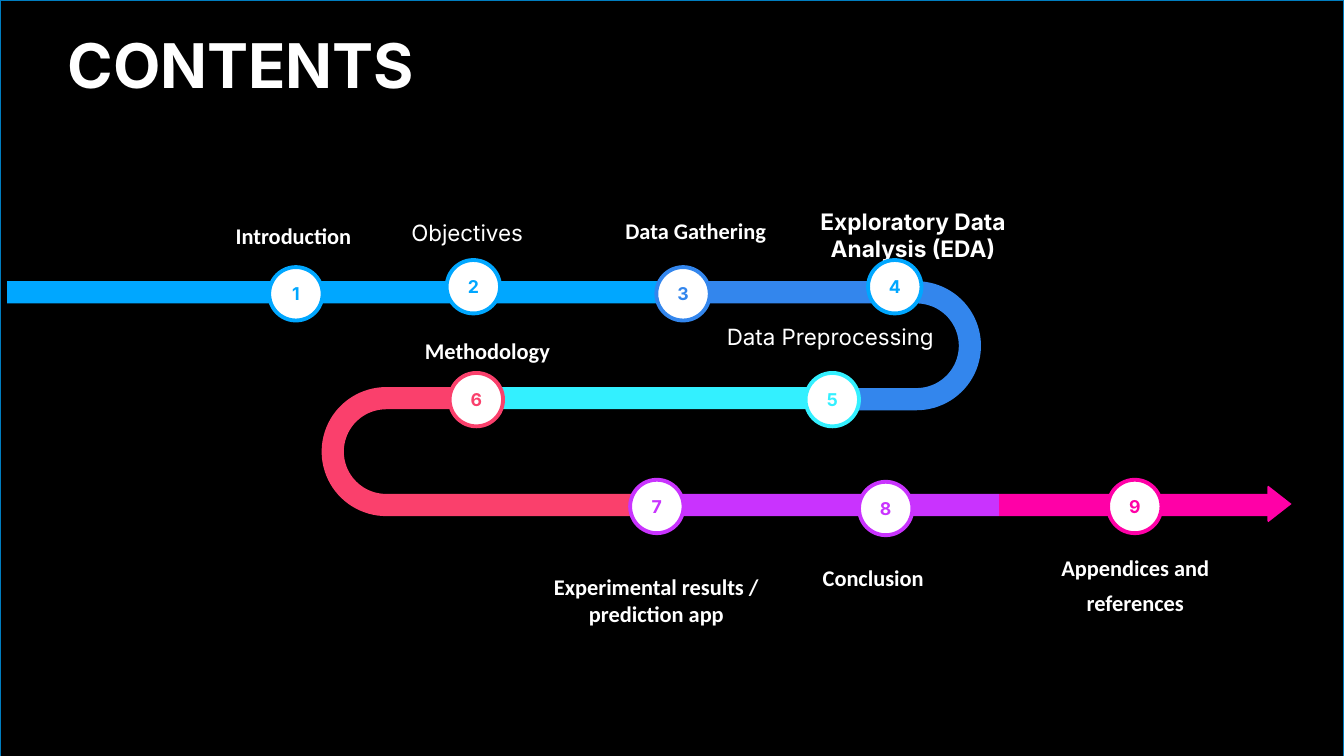
import math
from dataclasses import dataclass

import pptx
import pptx.dml.color
import pptx.enum.shapes
import pptx.enum.text
import pptx.util

Inches = pptx.util.Inches
Pt = pptx.util.Pt
Shape = pptx.enum.shapes.MSO_SHAPE
Align = pptx.enum.text.PP_ALIGN
Anchor = pptx.enum.text.MSO_ANCHOR


@dataclass(frozen=True)
class Theme:
    black: str = "000000"
    white: str = "FFFFFF"
    frame: str = "007DBF"
    sky: str = "00A7FF"
    blue: str = "3386ED"
    cyan: str = "33F0FF"
    red: str = "FA406C"
    purple: str = "C933FE"
    pink: str = "FF00A7"
    heading: str = "Inter"
    body: str = "Calibri"
    title_size: float = 44
    label_size: float = 16
    number_size: float = 12.6


THEME = Theme()
BAND = 0.22      # thickness of the road
RADIUS = 0.64    # outer radius of a bend
MARKER = 0.53    # diameter of a numbered stop


def rgb(value):
    return pptx.dml.color.RGBColor.from_string(value)


def paint(shape, fill, line=None, width=0):
    shape.shadow.inherit = False
    shape.fill.solid()
    shape.fill.fore_color.rgb = rgb(fill)
    if line:
        shape.line.color.rgb = rgb(line)
        shape.line.width = Pt(width)
    else:
        shape.line.fill.background()


def write(frame, text, size, font, color, bold, align, spacing=None):
    frame.text = text
    for para in frame.paragraphs:
        para.alignment = align
        if spacing:
            para.line_spacing = spacing
        for span in para.runs:
            span.font.size = Pt(size)
            span.font.name = font
            span.font.bold = bold
            span.font.color.rgb = rgb(color)


def add_label(page, box, text, size=THEME.label_size, font=THEME.body, bold=True,
              align=Align.CENTER, anchor=Anchor.BOTTOM, spacing=None):
    label = page.shapes.add_textbox(*map(Inches, box))
    frame = label.text_frame
    frame.word_wrap = True
    frame.vertical_anchor = anchor
    frame.margin_left = frame.margin_right = frame.margin_top = frame.margin_bottom = 0
    write(frame, text, size, font, THEME.white, bold, align, spacing)


def add_band(page, left, top, width, color):
    band = page.shapes.add_shape(
        Shape.RECTANGLE, Inches(left), Inches(top), Inches(width), Inches(BAND))
    paint(band, color)


def add_outline(page, points, color):
    points = [(Inches(x), Inches(y)) for x, y in points]
    builder = page.shapes.build_freeform(*points[0])
    builder.add_line_segments(points[1:], close=True)
    paint(builder.convert_to_shape(), color)


def add_bend(page, center, side, top_end, bottom_end, color):
    """U-turn bulging right (side 1) or left (side -1) with two straight arms."""
    x, y = center

    def arc(radius):
        angles = [math.radians(step * 4 - 90) for step in range(46)]
        return [(x + side * radius * math.cos(a), y + radius * math.sin(a)) for a in angles]

    inner = RADIUS - BAND
    points = [(top_end, y - RADIUS), *arc(RADIUS), (bottom_end, y + RADIUS),
              (bottom_end, y + inner), *reversed(arc(inner)), (top_end, y - inner)]
    add_outline(page, points, color)


def add_marker(page, number, left, top, color):
    marker = page.shapes.add_shape(
        Shape.OVAL, Inches(left), Inches(top), Inches(MARKER), Inches(MARKER))
    paint(marker, THEME.white, color, 2.75)
    marker.text_frame.word_wrap = False
    marker.text_frame.vertical_anchor = Anchor.MIDDLE
    write(marker.text_frame, str(number), THEME.number_size, THEME.heading,
          color, True, Align.CENTER)


def add_backdrop(page, box):
    backdrop = page.shapes.add_shape(Shape.RECTANGLE, *map(Inches, box))
    paint(backdrop, THEME.black, THEME.frame, 1)


def add_labels(page):
    add_label(page, (1.82, 2.2, 2.18, 0.27), "Introduction")
    add_label(page, (4.08, 2.17, 1.26, 0.27), "Objectives", font=THEME.heading,
              bold=False, align=Align.LEFT, anchor=Anchor.TOP)
    add_label(page, (5.81, 2.12, 2.18, 0.3), "Data Gathering")
    add_label(page, (8.08, 2.03, 1.95, 0.57), "Exploratory Data Analysis (EDA)",
              size=16.2, font=THEME.heading)
    add_label(page, (7.14, 3.13, 2.19, 0.59), "Data Preprocessing", font=THEME.heading,
              bold=False, anchor=Anchor.TOP, spacing=1.3)
    add_label(page, (3.86, 3.31, 1.95, 0.3), "Methodology")
    add_label(page, (5.4, 5.78, 2.22, 0.44), "Experimental results /\nprediction app")
    add_label(page, (8.16, 5.42, 2.22, 0.44), "Conclusion", align=Align.LEFT)
    add_label(page, (10.15, 5.42, 2.22, 0.59), "Appendices and references",
              anchor=Anchor.TOP, spacing=1.3)


def add_road(page, left, top):
    # Middle and bottom rows lie below the top row
    middle, bottom = top + 1.05, top + 2.11
    add_bend(page, (left + 3.76, middle + RADIUS), -1, left + 4.7, left + 6.49, THEME.red)
    add_band(page, left + 4.84, middle, 3.35, THEME.cyan)
    add_band(page, left + 6.49, bottom, 3.35, THEME.purple)
    add_band(page, left + 9.84, bottom, 2.69, THEME.pink)
    add_bend(page, (left + 9.02, top + RADIUS), 1, left + 6.65, left + 8.11, THEME.blue)
    add_band(page, left, top, 6.47, THEME.sky)

    # Arrow tip
    tip, middle_y = left + 12.5, bottom + 0.1
    add_outline(page, [(tip, middle_y - 0.17), (tip + 0.01, middle_y - 0.18),
                       (tip + 0.24, middle_y), (tip + 0.01, middle_y + 0.18),
                       (tip, middle_y + 0.17)], THEME.pink)

    # Numbered stops: offset along the road, offset down, colour
    stops = [
        (2.6, -0.14, THEME.sky), (4.36, -0.21, THEME.sky), (6.44, -0.14, THEME.blue),
        (8.54, -0.21, THEME.sky), (7.92, 0.91, THEME.cyan), (4.39, 0.91, THEME.red),
        (6.18, 1.97, THEME.purple), (8.45, 1.99, THEME.purple), (10.92, 1.97, THEME.pink),
    ]
    for number, (across, down, color) in enumerate(stops, start=1):
        add_marker(page, number, left + across, top + down, color)


def main():
    deck = pptx.Presentation()
    deck.slide_width, deck.slide_height = Inches(13.33), Inches(7.5)
    page = deck.slides.add_slide(deck.slide_layouts[6])
    add_backdrop(page, (0, 0, 13.33, 7.52))
    add_label(page, (0.67, 0.27, 3.57, 0.91), "CONTENTS", size=THEME.title_size,
              font=THEME.heading, align=Align.LEFT, anchor=Anchor.TOP)
    add_labels(page)
    add_road(page, 0.07, 2.79)
    deck.save("out.pptx")


if __name__ == "__main__":
    main()
